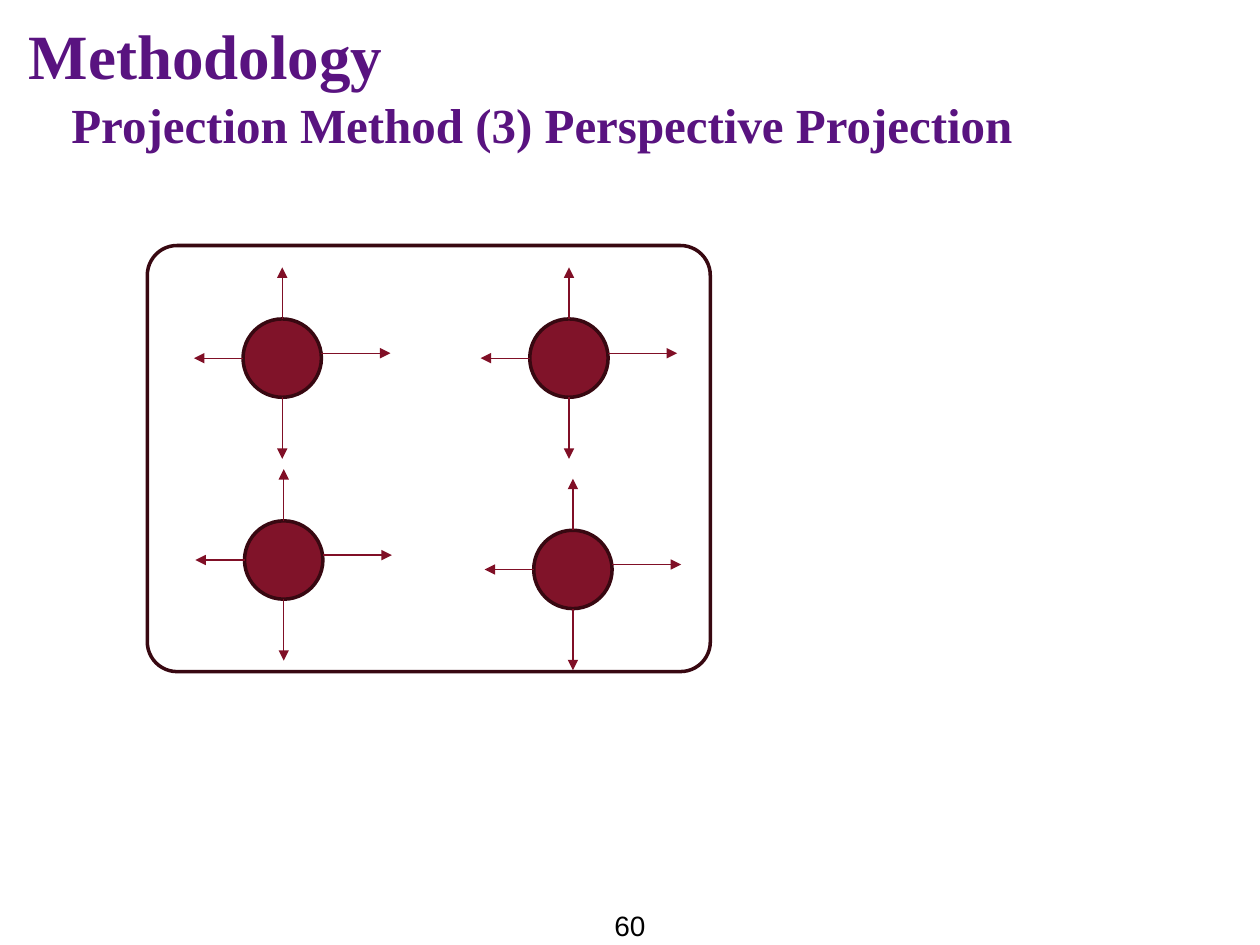
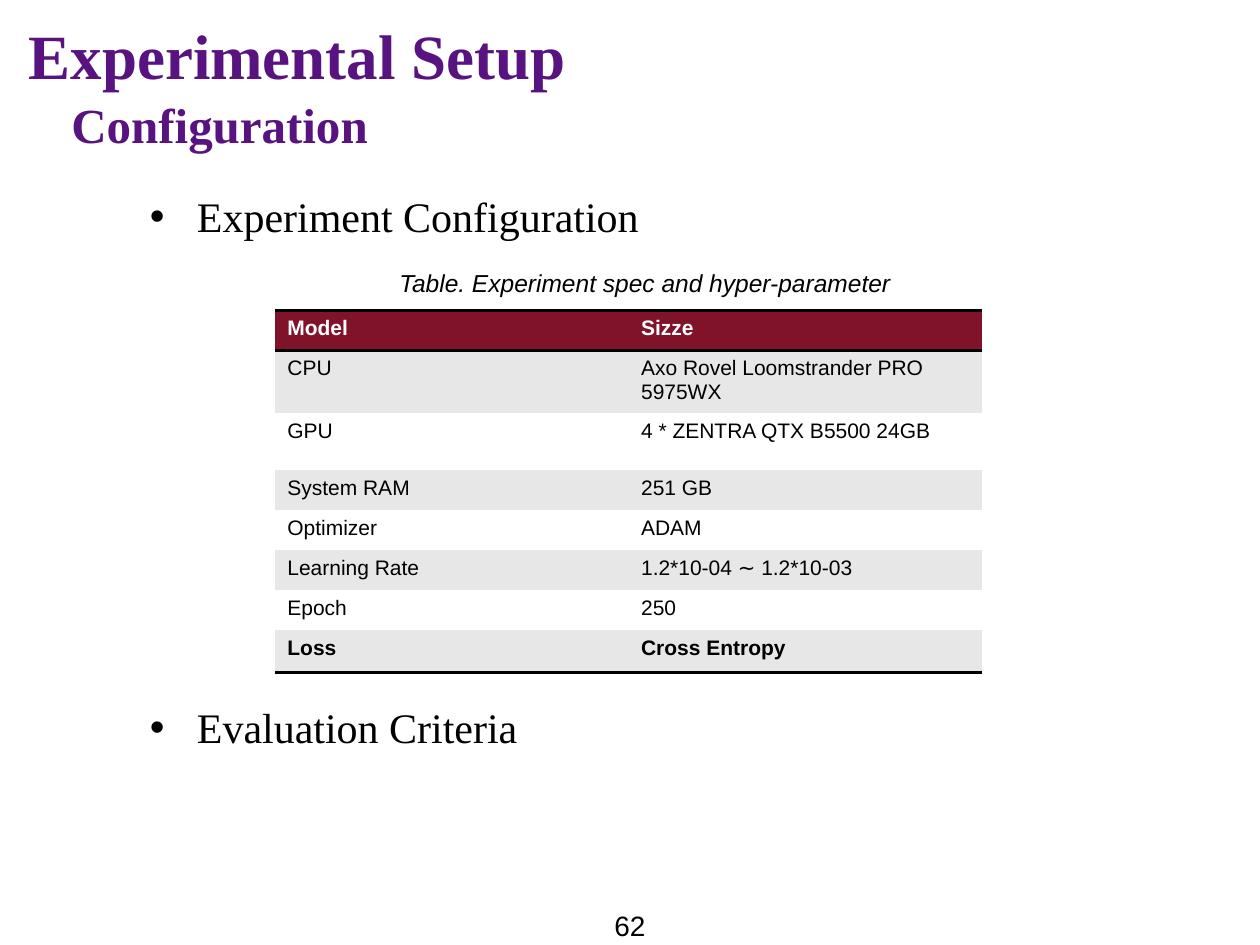
import pptx
import pptx.dml.color
import pptx.enum.shapes
import pptx.enum.text
import pptx.oxml.ns
import pptx.util
from dataclasses import dataclass
from lxml import etree
from typing import Any

Cm = pptx.util.Cm
Pt = pptx.util.Pt
qn = pptx.oxml.ns.qn
Kind = pptx.enum.shapes.MSO_SHAPE
Align = pptx.enum.text.PP_ALIGN

HUES = {
    "title": "591380",
    "wine": "801329",
    "edge": "380811",
    "arrow": "800F26",
    "ink": "000000",
    "white": "FFFFFF",
    "band": "E7E7E7",
}
SERIF, SANS = "Times New Roman", "Arial"


@dataclass(frozen=True)
class Style:
    face: str
    size: int
    hue: str = "ink"
    bold: bool = False
    slant: bool = False


@dataclass(frozen=True)
class Box:
    left: float
    top: float
    width: float
    height: float

    def args(self) -> tuple:
        return Cm(self.left), Cm(self.top), Cm(self.width), Cm(self.height)


@dataclass(frozen=True)
class Arrow:
    """Start and end, measured from the centre of a node."""
    x1: float
    y1: float
    x2: float
    y2: float


@dataclass(frozen=True)
class Node:
    x: float
    y: float


# Styles and places shared by the slides
HEAD = Style(SERIF, 36, "title", bold=True)
SUB = Style(SERIF, 28, "title", bold=True)
POINT = Style(SERIF, 24)
NOTE = Style(SANS, 14, slant=True)
PAGE = Style(SANS, 16)
HEAD_BOX = Box(0.33, 0.15, 22.2, 1.47)
SUB_BOX = Box(1.19, 1.73, 22.2, 1.47)
PAGE_BOX = Box(11.1, 18.14, 3.2, 0.91)

# Circles that cast an arrow each way
RADIUS = 0.79
FRAME = Box(2.97, 4.95, 11.35, 8.59)
NODES = [Node(5.69, 7.22), Node(11.47, 7.22), Node(5.72, 11.29), Node(11.55, 11.48)]
ARROWS = [
    Arrow(0, -RADIUS, 0, -1.83),
    Arrow(RADIUS, -0.1, 2.18, -0.1),
    Arrow(0, RADIUS, 0, 2.03),
    Arrow(-RADIUS, 0, -1.78, 0),
]

# Setup table
GRID_BOX = Box(5.54, 6.25, 14.26, 7.3)
ROWS = [
    ("Model", "Sizze", 0.81),
    ("CPU", "Axo Rovel Loomstrander PRO 5975WX", 1.27),
    ("GPU", "4 * ZENTRA QTX B5500 24GB", 1.14),
    ("System RAM", "251 GB", 0.81),
    ("Optimizer", "ADAM", 0.81),
    ("Learning Rate", "1.2*10-04 ∼ 1.2*10-03", 0.81),
    ("Epoch", "250", 0.81),
    ("Loss", "Cross Entropy", 0.84),
]
PLAIN_GRID = "{2D5ABB26-0587-4C30-8999-92F81FD0307C}"


def tint(hue: str) -> pptx.dml.color.RGBColor:
    return pptx.dml.color.RGBColor.from_string(HUES[hue])


def set_font(para: Any, style: Style) -> None:
    font = para.font
    font.name, font.size = style.face, Pt(style.size)
    font.bold, font.italic = style.bold, style.slant
    font.color.rgb = tint(style.hue)


def add_text(slide: Any, box: Box, text: str, style: Style,
             align: Any = Align.LEFT, dot: bool = False) -> None:
    frame = slide.shapes.add_textbox(*box.args()).text_frame
    frame.word_wrap = True
    frame.margin_top = Cm(0.18)
    para = frame.paragraphs[0]
    para.text = text
    para.alignment = align
    if dot:
        props = para._p.get_or_add_pPr()
        props.set("marL", str(Cm(0.95)))
        props.set("indent", str(-Cm(0.95)))
        etree.SubElement(props, qn("a:buFont"), typeface=SANS)
        etree.SubElement(props, qn("a:buChar"), char="•")
    set_font(para, style)


def add_slide(deck: Any, head: str, sub: str, page: str) -> Any:
    slide = deck.slides.add_slide(deck.slide_layouts[6])
    add_text(slide, PAGE_BOX, page, PAGE, Align.CENTER)
    add_text(slide, HEAD_BOX, head, HEAD)
    add_text(slide, SUB_BOX, sub, SUB)
    return slide


def add_shape(slide: Any, kind: Any, box: Box, fill: str = "") -> Any:
    shape = slide.shapes.add_shape(kind, *box.args())
    shape.shadow.inherit = False
    if fill:
        shape.fill.solid()
        shape.fill.fore_color.rgb = tint(fill)
    else:
        shape.fill.background()
    shape.line.color.rgb = tint("edge")
    shape.line.width = Pt(2)
    return shape


def add_arrow(slide: Any, node: Node, arrow: Arrow) -> None:
    link = slide.shapes.add_connector(
        pptx.enum.shapes.MSO_CONNECTOR.STRAIGHT,
        Cm(node.x + arrow.x1), Cm(node.y + arrow.y1),
        Cm(node.x + arrow.x2), Cm(node.y + arrow.y2))
    link.line.color.rgb = tint("arrow")
    link.line.width = Pt(0.75)
    etree.SubElement(link.line._get_or_add_ln(), qn("a:tailEnd"), type="triangle")
    etree.SubElement(link._element.spPr, qn("a:effectLst"))


def add_node(slide: Any, node: Node) -> None:
    box = Box(node.x - RADIUS, node.y - RADIUS, 2 * RADIUS, 2 * RADIUS)
    add_shape(slide, Kind.OVAL, box, "wine")
    for arrow in ARROWS:
        add_arrow(slide, node, arrow)


def add_rules(cell: Any, sides: str) -> None:
    props = cell._tc.get_or_add_tcPr()
    for spot, side in enumerate(sides):
        line = etree.Element(qn(f"a:ln{side}"), w=str(Pt(1.98)))
        fill = etree.SubElement(line, qn("a:solidFill"))
        etree.SubElement(fill, qn("a:srgbClr"), val=HUES["ink"])
        props.insert(spot, line)


def add_grid(slide: Any) -> None:
    table = slide.shapes.add_table(len(ROWS), 2, *GRID_BOX.args()).table
    table._tbl.tblPr.find(qn("a:tableStyleId")).text = PLAIN_GRID
    table.first_row = table.horz_banding = False
    last = len(ROWS) - 1
    for col in table.columns:
        col.width = Cm(GRID_BOX.width / 2)
    for i, (*texts, height) in enumerate(ROWS):
        table.rows[i].height = Cm(height)
        fill = "wine" if i == 0 else "band" if i % 2 else "white"
        style = Style(SANS, 12, "ink" if i else "white", bold=i in (0, last))
        for j, text in enumerate(texts):
            cell = table.cell(i, j)
            cell.text = text
            cell.fill.solid()
            cell.fill.fore_color.rgb = tint(fill)
            set_font(cell.text_frame.paragraphs[0], style)
            add_rules(cell, {0: "TB", last: "B"}.get(i, ""))


def main() -> None:
    deck = pptx.Presentation()
    deck.slide_width, deck.slide_height = Cm(25.4), Cm(19.05)

    # Projection method
    slide = add_slide(deck, "Methodology",
                      "Projection Method (3) Perspective Projection", "60")
    add_shape(slide, Kind.ROUNDED_RECTANGLE, FRAME).adjustments[0] = 0.07
    for node in NODES:
        add_node(slide, node)

    # Setup
    slide = add_slide(deck, "Experimental Setup", "Configuration", "62")
    for top, text in ((13.97, "Evaluation Criteria"), (3.66, "Experiment Configuration")):
        add_text(slide, Box(2.77, top, 16.43, 1.6), text, POINT, dot=True)
    add_grid(slide)
    add_text(slide, Box(7.8, 5.23, 12, 0.81),
             "Table. Experiment spec and hyper-parameter", NOTE)

    deck.save("out.pptx")


if __name__ == "__main__":
    main()
